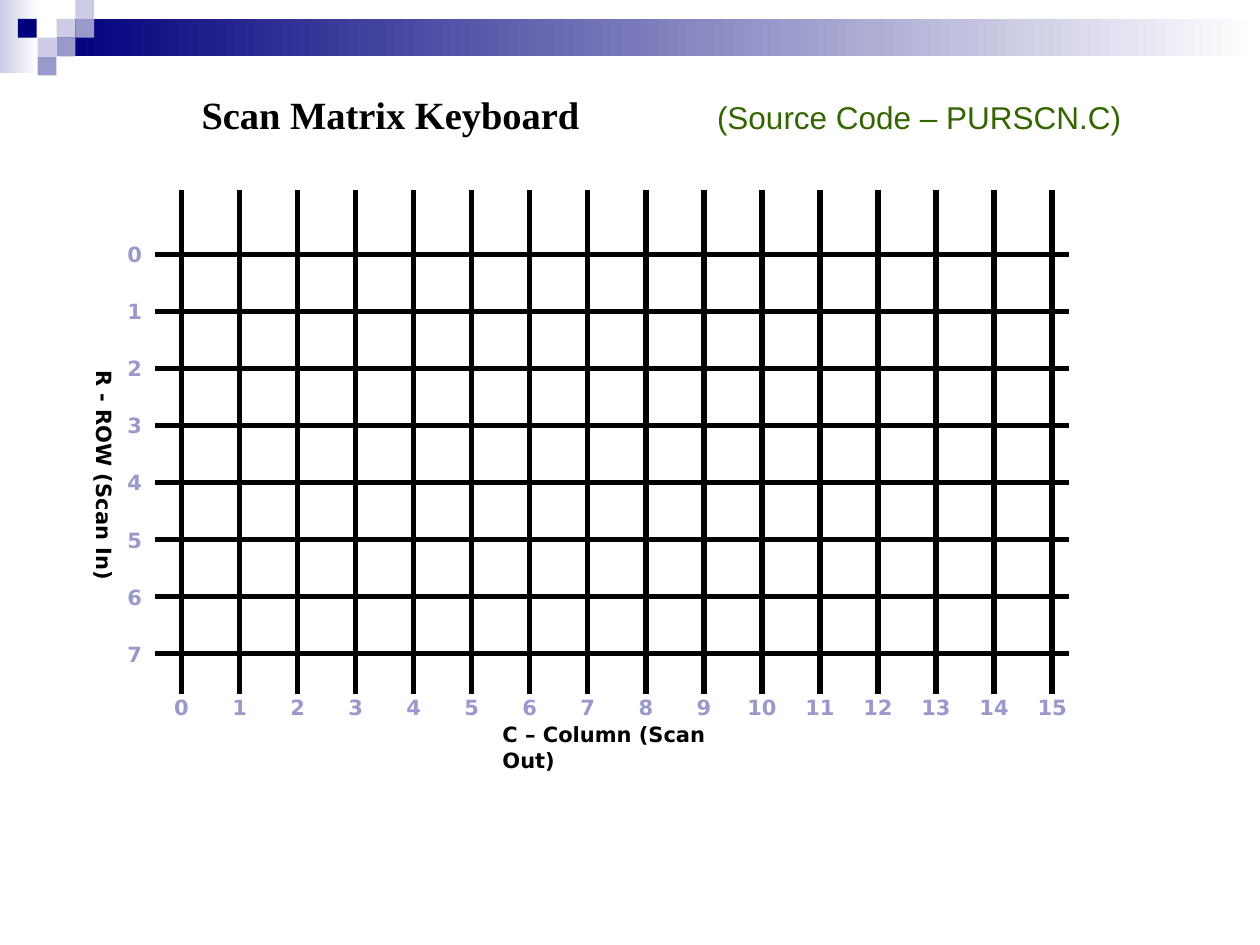
from lxml.etree import SubElement
from pptx import Presentation
from pptx.dml.color import RGBColor
from pptx.enum.shapes import MSO_CONNECTOR, MSO_SHAPE
from pptx.enum.text import MSO_ANCHOR, MSO_AUTO_SIZE, PP_ALIGN
from pptx.oxml.ns import qn
from pptx.util import Cm, Pt

NAVY, LAVENDER, PALE = "00007D", "9999CC", "CCCCE6"
BLACK, WHITE, GREEN = "000000", "FFFFFF", "336600"
LABEL_FONT = "DejaVu Sans"
ROWS, FIRST_ROW, ROW_GAP = 8, 5.13, 1.15
COLUMNS, FIRST_COLUMN, COLUMN_GAP = 16, 3.66, 1.17
TILE = 0.38
TILES = [
    (1.14, 0.38, PALE),
    (1.52, 0, PALE),
    (1.52, 0.38, LAVENDER),
    (0.76, 0.76, PALE),
    (0.36, 0.38, NAVY),
    (1.14, 0.76, LAVENDER),
    (0.76, 1.14, LAVENDER),
]


def color(value):
    return RGBColor.from_string(value)


def place(shape, left, top, width, height):
    shape.left, shape.top = Cm(left), Cm(top)
    shape.width, shape.height = Cm(width), Cm(height)


def add_rectangle(slide, left, top, width, height):
    shape = slide.shapes.add_shape(
        MSO_SHAPE.RECTANGLE, Cm(left), Cm(top), Cm(width), Cm(height))
    shape.shadow.inherit = False
    shape.line.fill.background()
    return shape


def add_tile(slide, left, top, fill):
    shape = add_rectangle(slide, left, top, TILE, TILE)
    shape.fill.solid()
    shape.fill.fore_color.rgb = color(fill)


def add_fade(slide, left, top, width, height, dark):
    fill = add_rectangle(slide, left, top, width, height).fill
    fill.gradient()
    fill.gradient_angle = 180
    for stop, value in zip(fill.gradient_stops, (WHITE, dark)):
        stop.color.rgb = color(value)


def add_run(paragraph, text, size, font, value, bold=False):
    run = paragraph.add_run()
    run.text = text
    run.font.size = Pt(size)
    run.font.name = font
    run.font.bold = bold
    run.font.color.rgb = color(value)


def add_label(slide, text, left, top, width, height, value, align=PP_ALIGN.CENTER):
    box = slide.shapes.add_textbox(Cm(left), Cm(top), Cm(width), Cm(height))
    frame = box.text_frame
    frame.word_wrap = True
    paragraph = frame.paragraphs[0]
    paragraph.alignment = align
    add_run(paragraph, text, 12, LABEL_FONT, value, True)
    return frame


def add_vertical_label(slide, text, left, top, width, height):
    frame = add_label(slide, text, left, top, width, height, BLACK)
    frame.word_wrap = False
    frame.margin_left = frame.margin_right = Cm(0.13)
    frame.margin_top = frame.margin_bottom = Cm(0.25)
    frame._txBody.bodyPr.set("vert", "eaVert")


def add_wire(slide, left, top, right, bottom):
    wire = slide.shapes.add_connector(
        MSO_CONNECTOR.STRAIGHT, Cm(left), Cm(top), Cm(right), Cm(bottom))
    wire.line.width = Pt(3)
    wire.line.color.rgb = color(BLACK)
    SubElement(wire._element.spPr, qn("a:effectLst"))


def add_banner(slide):
    add_fade(slide, 0, 0, 0.79, 1.47, PALE)
    add_fade(slide, 1.14, 0.38, 24.26, 0.76, NAVY)
    for left, top, fill in TILES:
        add_tile(slide, left, top, fill)


def fill_title(title):
    place(title, 0, 0.76, 22.86, 3.18)
    frame = title.text_frame
    frame.auto_size = MSO_AUTO_SIZE.NONE
    frame.vertical_anchor = MSO_ANCHOR.MIDDLE
    paragraph = frame.paragraphs[0]
    paragraph.alignment = PP_ALIGN.RIGHT
    add_run(paragraph, "(Source Code – PURSCN.C)", 18, "Arial", GREEN)


def fill_body(body):
    place(body, 3.81, 1.7, 21.59, 14.17)
    frame = body.text_frame
    frame.auto_size = MSO_AUTO_SIZE.NONE
    paragraph = frame.paragraphs[0]
    paragraph.space_before = Pt(5.5)
    SubElement(paragraph._p.get_or_add_pPr(), qn("a:buNone"))
    add_run(paragraph, "Scan Matrix Keyboard", 22, "Times New Roman", BLACK, True)


def add_key_matrix(slide):
    add_vertical_label(slide, "R - ROW (Scan In)", 1.47, 7.21, 1.02, 3.86)
    for row in range(ROWS):
        y = FIRST_ROW + row * ROW_GAP
        add_wire(slide, 3.12, y, 21.54, y)
        add_label(slide, str(row), 2.18, y - 0.38, 1.07, 0.76, LAVENDER)
    add_label(slide, "C – Column (Scan Out)", 9.88, 14.43, 5.13, 0.76, BLACK,
              PP_ALIGN.LEFT)
    for column in range(COLUMNS):
        x = FIRST_COLUMN + column * COLUMN_GAP
        add_wire(slide, x, 3.84, x, 14)
        add_label(slide, str(column), x - 0.64, 13.87, 1.28, 0.76, LAVENDER)


def main():
    presentation = Presentation()
    presentation.slide_width, presentation.slide_height = Cm(25.4), Cm(19.05)
    slide = presentation.slides.add_slide(presentation.slide_layouts[1])
    add_banner(slide)
    fill_title(slide.shapes.title)
    fill_body(slide.placeholders[1])
    add_key_matrix(slide)
    presentation.save("out.pptx")


if __name__ == "__main__":
    main()
